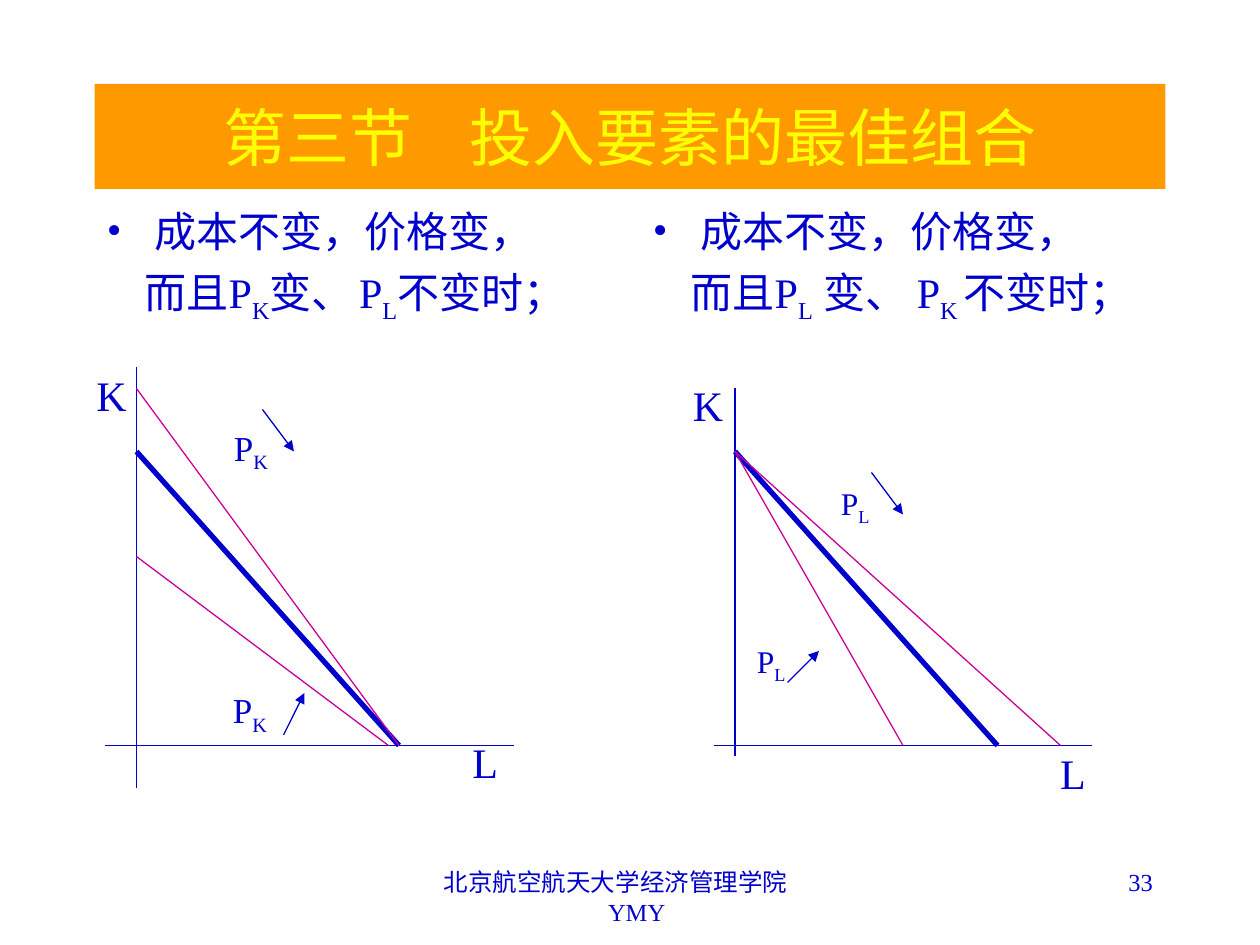
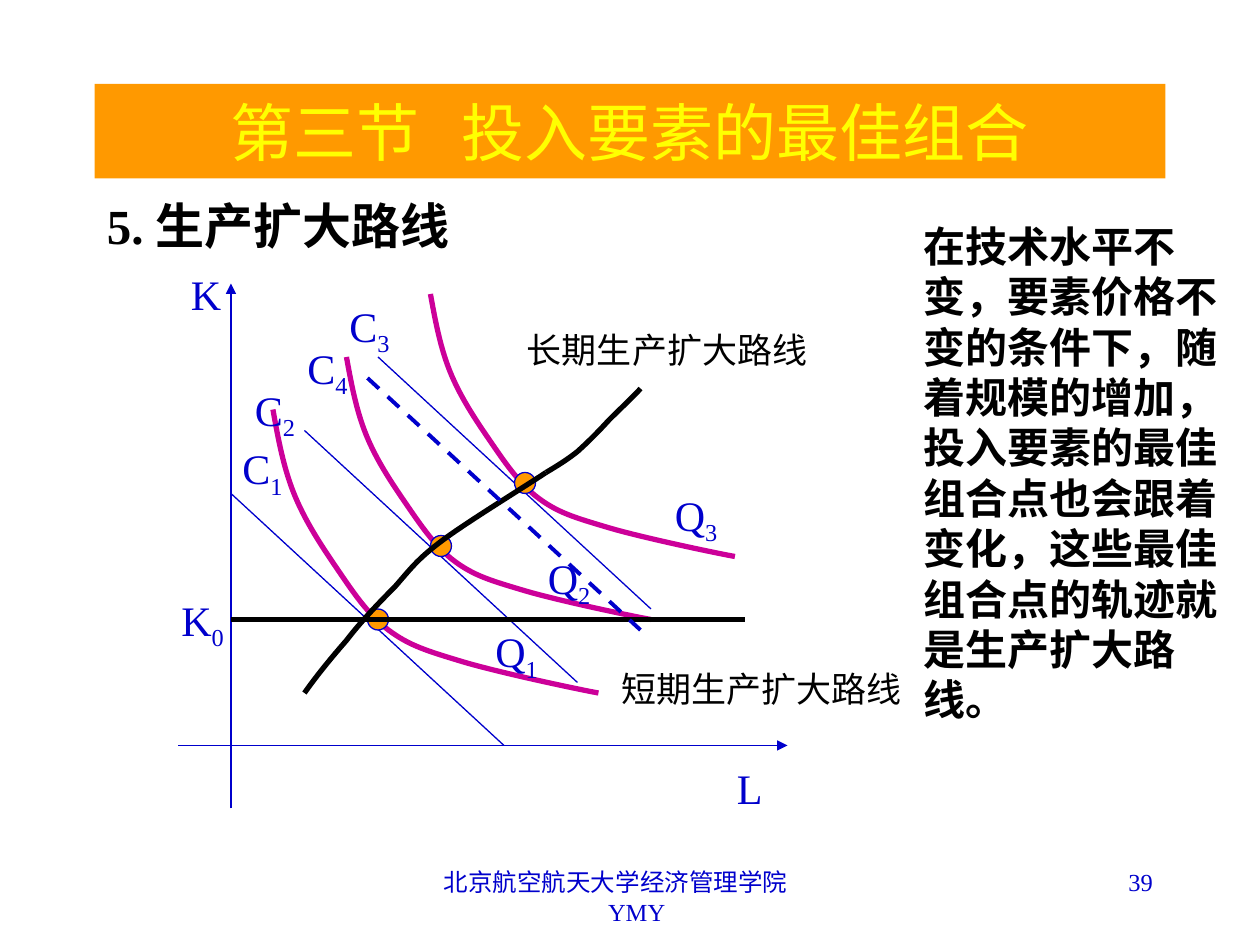
from lxml.etree import SubElement
from pptx import Presentation
from pptx.dml.color import RGBColor
from pptx.enum.dml import MSO_LINE
from pptx.enum.shapes import MSO_CONNECTOR, MSO_SHAPE
from pptx.enum.text import MSO_ANCHOR, MSO_AUTO_SIZE, PP_ALIGN
from pptx.oxml.ns import qn
from pptx.util import Pt

PX = 7620
FONT = "Times New Roman"
BLUE = RGBColor(0x00, 0x00, 0xCC)
PINK = RGBColor(0xCC, 0x00, 0x99)
ORANGE = RGBColor(0xFF, 0x99, 0x00)
YELLOW = RGBColor(0xFF, 0xFF, 0x00)
BLACK = RGBColor(0x00, 0x00, 0x00)
LEFT, CENTER, RIGHT = PP_ALIGN.LEFT, PP_ALIGN.CENTER, PP_ALIGN.RIGHT
MIDDLE = MSO_ANCHOR.MIDDLE
FIXED = MSO_AUTO_SIZE.NONE
DASH = MSO_LINE.DASH
STRAIGHT = MSO_CONNECTOR.STRAIGHT
OVAL = MSO_SHAPE.OVAL

THESIS = ("在技术水平不变，要素价格不变的条件下，随着规模的增加，投入要素的最佳"
          "组合点也会跟着变化，这些最佳组合点的轨迹就是生产扩大路线。")

ISOQUANT = [(0, 0), (5, 28), (10, 55), (20, 80), (30, 105), (45, 128),
            (60, 150), (75, 172), (90, 195), (110, 210), (130, 225),
            (147, 230), (180, 240), (213, 250), (288, 266), (310, 270)]
LOWER = [(70, -50), (82, -67), (96, -84), (110, -100), (123, -117),
         (140, -135), (156, -151), (171, -168), (177, -177), (201, -195),
         (225, -213), (284, -249), (300, -260)]
UPPER = [(300, -260), (310, -266), (320, -272), (330, -280), (340, -289),
         (350, -299), (360, -310), (370, -320), (385, -334), (390, -340)]


def emu(*sizes):
    """Turn px lengths into EMU."""
    return [round(size * PX) for size in sizes]


def write(par, parts, size, color=BLUE, bold=False):
    """Add runs to a paragraph; every second part is a subscript."""
    par._p.get_or_add_pPr().set("hangingPunct", "0")
    for index, part in enumerate(parts):
        run = par.add_run()
        run.text = part
        font = run.font
        font.name, font.size, font.bold = FONT, Pt(size), bold
        font.color.rgb = color
        props = run._r.get_or_add_rPr()
        props.set("lang", "zh-CN")
        if index % 2:
            props.set("baseline", "-25000")


def text(slide, box, parts, size, color=BLUE, bold=False, align=LEFT, wrap=True):
    """Add a text box and return its frame."""
    frame = slide.shapes.add_textbox(*emu(*box)).text_frame
    frame.word_wrap = wrap
    frame.auto_size = FIXED
    par = frame.paragraphs[0]
    par.alignment = align
    write(par, parts, size, color, bold)
    return frame


def indent(par, left, first=0):
    """Set the left and first-line indents of a paragraph."""
    props = par._p.get_or_add_pPr()
    props.set("marL", str(left * PX))
    props.set("indent", str(first * PX))
    return props


def footer(slide, box):
    """Write the school and, a little to its right, the author."""
    frame = text(slide, box, ["北京航空航天大学经济管理学院"], 14, align=CENTER)
    frame.margin_right = 39 * PX
    par = frame.add_paragraph()
    par.alignment = CENTER
    indent(par, 40)
    write(par, ["YMY"], 14)


def base(deck, high, gap, number):
    """Add a slide with its title band and footer."""
    slide = deck.slides.add_slide(deck.slide_layouts[5])
    band = slide.shapes.title
    band.left, band.top, band.width, band.height = emu(90, 80, 1020, high)
    band.fill.solid()
    band.fill.fore_color.rgb = ORANGE
    frame = band.text_frame
    frame.vertical_anchor = MIDDLE
    frame.auto_size = FIXED
    par = frame.paragraphs[0]
    par.alignment = CENTER
    for part, size in [("第三节", 36), ("　", gap), ("投入要素的最佳组合", 36)]:
        write(par, [part], size, YELLOW)
    footer(slide, (410, 820, 380, 60))
    text(slide, (860, 820, 250, 60), [number], 14, align=RIGHT)
    return slide


def line(slide, origin, ends, color=BLUE, width=0.75, arrow=False, dash=None):
    """Draw a line between two points measured from the origin."""
    x, y = origin
    x1, y1, x2, y2 = ends
    link = slide.shapes.add_connector(
        STRAIGHT, *emu(x + x1, y + y1, x + x2, y + y2))
    link.line.color.rgb = color
    link.line.width = Pt(width)
    if dash:
        link.line.dash_style = dash
    if arrow:
        SubElement(link.line._get_or_add_ln(), qn("a:tailEnd"), type="triangle")
    SubElement(link._element.spPr, qn("a:effectLst"))


def curve(slide, origin, knots, color, scale=(1, 1)):
    """Draw a thick open chain of cubic curves from the origin."""
    points = [emu(*(o + k * s for o, k, s in zip(origin, point, scale)))
              for point in knots]
    pen = slide.shapes.build_freeform(*points[0])
    pen.add_line_segments(points[1:], close=False)
    shape = pen.convert_to_shape()
    steps = list(shape._element.iter(qn("a:lnTo")))
    track = steps[0].getparent()
    for at in range(0, len(steps), 3):
        cubic = SubElement(track, qn("a:cubicBezTo"))
        for step in steps[at:at + 3]:
            cubic.append(step[0])
            track.remove(step)
    shape.shadow.inherit = False
    shape.fill.background()
    shape.line.color.rgb = color
    shape.line.width = Pt(3)


def label(slide, origin, spot, parts, size=24, color=BLUE):
    """Write a short label: its spot gives left, top and width."""
    x, y, wide = spot
    high = 67 if size == 24 and len(parts) > 1 else 60 if size == 24 else 53
    text(slide, (origin[0] + x, origin[1] + y, wide, high), parts, size,
         color, wrap=False)


def claim(slide, box, parts):
    """Write a bulleted case and the indented line under it."""
    frame = text(slide, box, ["成本不变，价格变，"], 24)
    props = indent(frame.paragraphs[0], 45, -45)
    SubElement(props, qn("a:buFont"), typeface=FONT)
    SubElement(props, qn("a:buChar"), char="•")
    par = frame.add_paragraph()
    par.space_before = Pt(6)
    indent(par, 36)
    write(par, parts, 24)


def budget(slide, origin, axes, shifts, arrows, names, prices, size):
    """Draw a cost line, its shifts and the price labels."""
    for ends in axes:
        line(slide, origin, ends)
    line(slide, origin, (0, -280, 250, 0), width=3)
    for ends in shifts:
        line(slide, origin, ends, PINK)
    for ends in arrows:
        line(slide, origin, ends, arrow=True)
    for name, spot in names.items():
        label(slide, origin, spot, [name])
    factor, spots = prices
    for spot in spots:
        label(slide, origin, spot, ["P", factor], size)


def prices(deck):
    """Build the slide on price changes."""
    slide = base(deck, 100, 32.5, "33")
    claim(slide, (90, 190, 500, 610),
          ["而且P", "K", "变、", " ", "P", "L", "不变时；"])
    claim(slide, (610, 190, 520, 120),
          ["而且P", "L", " 变、 P", "K ", "不变时；"])
    budget(slide, (130, 710),
           [(0, -360, 0, 40), (-30, 0, 360, 0)],
           [(0, -340, 250, 0), (0, -180, 240, 0)],
           [(140, -10, 160, -50), (120, -320, 150, -280)],
           {"K": (-50, -364, 52), "L": (308, -14, 48)},
           ("K", [(80, -60, 56), (81, -310, 56)]), 20)
    budget(slide, (700, 710),
           [(0, -340, 0, 10), (-20, 0, 340, 0)],
           [(0, -280, 160, 0), (0, -280, 310, 0)],
           [(130, -260, 160, -220), (50, -60, 80, -90)],
           {"K": (-52, -354, 52), "L": (298, -4, 48)},
           ("L", [(89, -255, 52), (9, -104, 52)]), 18)


def growth(slide, origin):
    """Draw the expansion diagram around its origin."""
    x, y = origin
    for ends in [(0, 60, 0, -440), (-50, 0, 530, 0)]:
        line(slide, origin, ends, arrow=True)
    for left, top, wide, high in [(40, -320, 310, 270), (110, -370, 290, 250),
                                  (190, -430, 290, 250)]:
        curve(slide, (x + left, y + top), ISOQUANT, PINK,
              (wide / 310, high / 270))
    for ends in [(0, -240, 260, 0), (70, -300, 330, -60), (140, -370, 400, -130)]:
        line(slide, origin, ends)
    for left, top in [(130, -130), (190, -200), (270, -260)]:
        dot = slide.shapes.add_shape(OVAL, *emu(x + left, y + top, 20, 20))
        dot.shadow.inherit = False
        dot.fill.solid()
        dot.fill.fore_color.rgb = ORANGE
        dot.line.color.rgb = BLUE
        dot.line.width = Pt(0.75)
    for knots in [LOWER, UPPER]:
        curve(slide, origin, knots, BLACK)
    for ends in [(140, -120, 0, -120), (130, -120, 490, -120)]:
        line(slide, origin, ends, BLACK, 3)
    line(slide, origin, (130, -350, 390, -110), width=2.25, dash=DASH)
    for name, spot in {
        "K": (-50, -460, 52), "L": (470, 10, 48), "K0": (-59, -150, 65),
        "Q1": (240, -120, 65), "Q2": (290, -190, 65), "Q3": (411, -250, 65),
        "C1": (-1, -294, 62), "C2": (11, -350, 62), "C3": (101, -430, 62),
        "C4": (61, -390, 62),
    }.items():
        label(slide, origin, spot, list(name))
    label(slide, origin, (270, -403, 290), ["长期生产扩大路线"], 20, BLACK)
    label(slide, origin, (360, -80, 290), ["短期生产扩大路线"], 20, BLACK)


def paths(deck):
    """Build the slide on expansion paths."""
    slide = base(deck, 90, 24, "39")
    text(slide, (90, 180, 1020, 460), ["5. 生产扩大路线"], 28, BLACK, True)
    growth(slide, (220, 710))
    text(slide, (868, 204, 332, 444), [THESIS], 24, BLACK, True)


def main():
    """Build and save the deck."""
    deck = Presentation()
    deck.slide_width, deck.slide_height = emu(1200, 900)
    prices(deck)
    paths(deck)
    deck.save("out.pptx")


if __name__ == "__main__":
    main()
